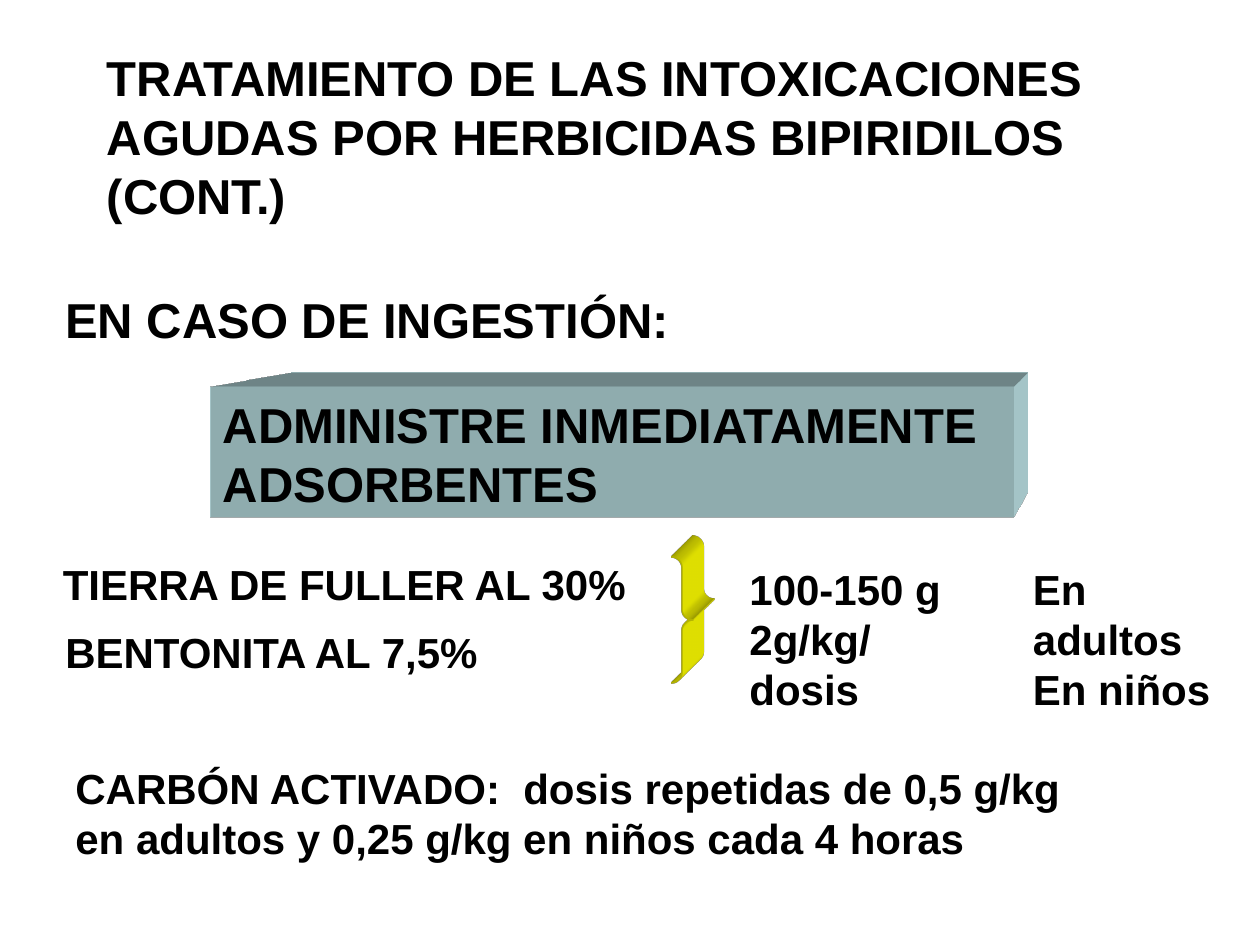
from lxml import etree
from pptx import Presentation
from pptx.dml.color import RGBColor
from pptx.enum import shapes, text
from pptx.util import Inches, Pt

A = "http://schemas.openxmlformats.org/drawingml/2006/main"


def rgb(value):
    return RGBColor.from_string(value)


def write(sp, lines, size):
    tf = sp.text_frame
    tf.word_wrap = False
    tf.auto_size = text.MSO_AUTO_SIZE.SHAPE_TO_FIT_TEXT
    tf.vertical_anchor = text.MSO_ANCHOR.TOP
    tf.text = "\n".join(lines)
    for p in tf.paragraphs:
        p.alignment = text.PP_ALIGN.LEFT
        for r in p.runs:
            r.font.name = "Arial"
            r.font.size = Pt(size)
            r.font.bold = True
            r.font.color.rgb = rgb("000000")


prs = Presentation()
prs.slide_width, prs.slide_height = Inches(10), Inches(7.5)
s = prs.slides.add_slide(prs.slide_layouts[6])

labels = [
    (0.75, 0.33, 8.02, 1.5, 28, ["TRATAMIENTO DE LAS INTOXICACIONES",
                                 "AGUDAS POR HERBICIDAS BIPIRIDILOS", "(CONT.)"]),
    (0.42, 2.25, 4.99, 0.57, 28, ["EN CASO DE INGESTIÓN:"]),
    (0.4, 4.38, 4.7, 0.5, 24, ["TIERRA DE FULLER AL 30%"]),
    (0.42, 4.92, 3.53, 0.5, 24, ["BENTONITA AL 7,5%"]),
    (5.85, 4.42, 2.03, 0.9, 24, ["100-150 g", "2g/kg/dosis"]),
    (8.1, 4.42, 1.9, 0.9, 24, ["En adultos", "En niños"]),
    (0.5, 6, 8.05, 0.9, 24, ["CARBÓN ACTIVADO:  dosis repetidas de 0,5 g/kg",
                             "en adultos y 0,25 g/kg en niños cada 4 horas"]),
]
for x, y, w, h, size, lines in labels:
    write(s.shapes.add_textbox(Inches(x), Inches(y), Inches(w), Inches(h)), lines, size)

box = s.shapes.add_shape(shapes.MSO_SHAPE.RECTANGLE,
                         Inches(1.67), Inches(3.08), Inches(6.36), Inches(1.03))
box.fill.solid()
box.fill.fore_color.rgb = rgb("BBE0E3")
box.line.fill.background()
write(box, ["ADMINISTRE INMEDIATAMENTE ", "ADSORBENTES"], 28)

brace = s.shapes.add_shape(shapes.MSO_SHAPE.RIGHT_BRACE,
                           Inches(5.33), Inches(4.42), Inches(0.17), Inches(1))
brace.adjustments[0] = 0.5
brace.adjustments[1] = 0.5
brace.fill.background()
brace.line.color.rgb = rgb("FFFF00")
brace.line.width = Pt(1)

extrusions = [
    (box, "BBE0E3", "legacyPerspectiveTopRight", 887400),
    (brace, "FFFF00", "legacyObliqueTopRight", 430200),
]
for sp, color, camera, depth in extrusions:
    sp.shadow.inherit = False
    pr = sp._element.spPr
    pr.append(etree.fromstring(
        f'<a:scene3d xmlns:a="{A}"><a:camera prst="{camera}"/>'
        '<a:lightRig rig="legacyFlat3" dir="b"/></a:scene3d>'))
    pr.append(etree.fromstring(
        f'<a:sp3d xmlns:a="{A}" extrusionH="{depth}" prstMaterial="legacyMatte">'
        '<a:bevelT w="13500" h="13500" prst="angle"/>'
        '<a:bevelB w="13500" h="13500" prst="angle"/>'
        f'<a:extrusionClr><a:srgbClr val="{color}"/></a:extrusionClr></a:sp3d>'))

prs.save("out.pptx")
